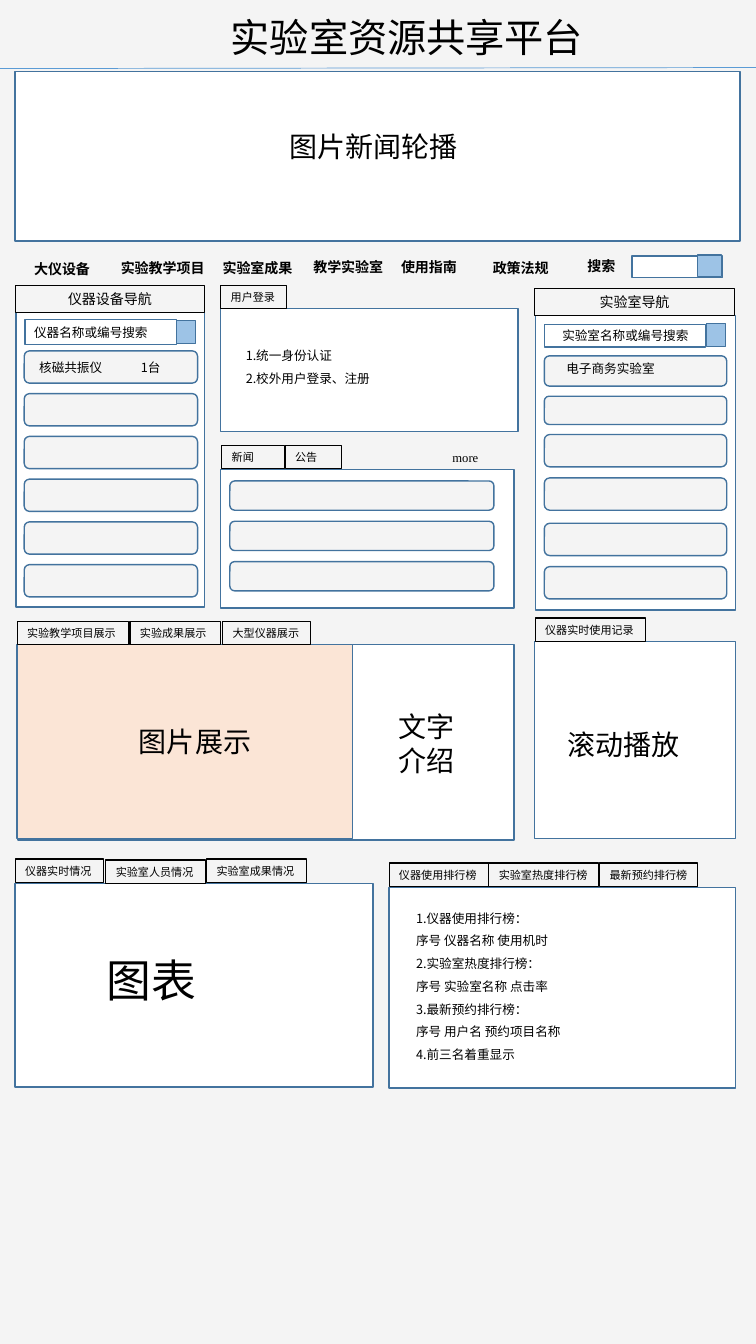
from lxml import etree
from pptx import Presentation
from pptx import util as u
from pptx.dml.color import RGBColor
from pptx.enum import shapes, text
from pptx.oxml import ns

PALE = RGBColor(0xF4, 0xF4, 0xF4)
WHITE = RGBColor(0xFF, 0xFF, 0xFF)
BLACK = RGBColor(0, 0, 0)
EDGE = RGBColor(0x43, 0x73, 0x9E)
RULE = RGBColor(0x5B, 0x9B, 0xD5)
SKY = RGBColor(0x9D, 0xC3, 0xE6)
PEACH = RGBColor(0xFB, 0xE5, 0xD6)
HAN = "Noto Sans CJK SC"
RECT = shapes.MSO_SHAPE.RECTANGLE
ROUND = shapes.MSO_SHAPE.ROUNDED_RECTANGLE
LEFT, MID = text.PP_ALIGN.LEFT, text.PP_ALIGN.CENTER

deck = Presentation()
deck.slide_width, deck.slide_height = u.Inches(7.5), u.Inches(13.33)
COLS, ROWS = 750, 1333
COL, ROW = deck.slide_width / COLS, deck.slide_height / ROWS
slide = deck.slides.add_slide(deck.slide_layouts[5])
slide.background.fill.solid()
slide.background.fill.fore_color.rgb = PALE


def draw(area, fill, kind=RECT, edge=EDGE, width=1):
    x, y, w, h = area
    shape = slide.shapes.add_shape(kind, int(x * COL), int(y * ROW), int(w * COL), int(h * ROW))
    shape.shadow.inherit = False
    shape.fill.solid()
    shape.fill.fore_color.rgb = fill
    shape.line.color.rgb = edge
    shape.line.width = u.Pt(width)
    return shape


def write(shape, words, size, align=LEFT, bold=False, face=HAN, space=1.0, stop=None):
    frame = shape.text_frame
    form = {"word_wrap": True, "auto_size": text.MSO_AUTO_SIZE.NONE,
            "vertical_anchor": text.MSO_ANCHOR.MIDDLE,
            "margin_left": 0 if align == MID else u.Inches(0.1),
            "margin_right": 0, "margin_top": 0, "margin_bottom": 0}
    for key, val in form.items():
        setattr(frame, key, val)
    for i, line in enumerate(words.split("\n")):
        para = frame.add_paragraph() if i else frame.paragraphs[0]
        para.alignment = align
        para.line_spacing = space
        if stop:
            tabs = etree.SubElement(para._p.get_or_add_pPr(), ns.qn("a:tabLst"))
            etree.SubElement(tabs, ns.qn("a:tab"), pos=str(int(stop * COL)), algn="l")
        run = para.add_run()
        run.text = line
        for key, val in {"size": u.Pt(size), "bold": bold, "name": face}.items():
            setattr(run.font, key, val)
        run.font.color.rgb = BLACK
        etree.SubElement(run._r.get_or_add_rPr(), ns.qn("a:ea"), typeface=face)


title = slide.shapes.title
place = {"left": 219 * COL, "top": 8 * ROW, "width": 390 * COL, "height": 57 * ROW}
for key, val in place.items():
    setattr(title, key, int(val))
write(title, "实验室资源共享平台", 28)

rule = slide.shapes.add_connector(shapes.MSO_CONNECTOR.STRAIGHT, 0, int(68 * ROW),
                                  deck.slide_width, int(67 * ROW))
rule.line.color.rgb = RULE
rule.line.width = u.Pt(0.5)
etree.SubElement(rule._element.spPr, ns.qn("a:effectLst"))

panels = [
    (15, 71, 719, 168), (16, 310, 187, 292), (531, 313, 199, 292),
    (219, 306, 295, 122), (219, 466, 291, 137), (18, 639, 492, 194),
    (530, 636, 200, 196), (15, 876, 355, 202), (386, 880, 344, 199),
]
for area in panels:
    draw(area, WHITE)
draw((17, 639, 333, 193), PEACH)

heads = [(15, 283, 188, "仪器设备导航"), (530, 286, 199, "实验室导航")]
for x, y, w, words in heads:
    write(draw((x, y, w, 27), PALE, edge=BLACK, width=0.75), words, 10, MID)

tabs = [
    (219, 283, 65, "用户登录"), (220, 442, 62, "新闻"), (283, 442, 56, "公告"),
    (17, 616, 111, "实验教学项目展示"), (129, 616, 90, "实验成果展示"),
    (221, 616, 87, "大型仪器展示"), (531, 613, 109, "仪器实时使用记录"),
    (15, 852, 88, "仪器实时情况"), (105, 853, 99, "实验室人员情况"),
    (205, 852, 99, "实验室成果情况"), (386, 856, 99, "仪器使用排行榜"),
    (485, 856, 109, "实验室热度排行榜"), (595, 856, 97, "最新预约排行榜"),
]
for x, y, w, words in tabs:
    write(draw((x, y, w, 23), PALE, edge=BLACK, width=0.75), words, 7.9)

for i in range(6):
    draw((24, 348 + 42.4 * i, 172, 32), PALE, ROUND)
for i in range(3):
    draw((228, 477 + 40 * i, 262, 29), PALE, ROUND)
for y, h in [(353, 30), (393, 28), (431, 32), (474, 32), (519, 32), (562, 32)]:
    draw((540, y, 181, h), PALE, ROUND)

finds = [
    ((627, 254, 90, 21), (692, 253, 24, 21)),
    ((25, 317, 150, 25), (175, 318, 19, 23)),
    ((540, 322, 160, 22), (701, 321, 19, 23)),
]
for field, key in finds:
    draw(field, WHITE)
    draw(key, SKY)

menu = [(24, 253, "大仪设备"), (110, 252, "实验教学项目"), (211, 252, "实验室成果"),
        (301, 251, "教学实验室"), (388, 251, "使用指南"), (479, 252, "政策法规"),
        (573, 250, "搜索")]
notes = [((x, y, 105, 27), words, 10, {"bold": True}) for x, y, words in menu]
ranks = """1.仪器使用排行榜：
序号 仪器名称 使用机时
2.实验室热度排行榜：
序号 实验室名称 点击率
3.最新预约排行榜：
序号 用户名 预约项目名称
4.前三名着重显示"""
notes += [
    ((277, 123, 194, 44), "图片新闻轮播", 20, {}),
    ((24, 317, 150, 25), "仪器名称或编号搜索", 9, {}),
    ((29, 352, 152, 25), "核磁共振仪\t1台", 9, {"stop": 101}),
    ((548, 320, 150, 25), "实验室名称或编号搜索", 9, {}),
    ((552, 353, 151, 25), "电子商务实验室", 9, {}),
    ((234, 332, 216, 56), "1.统一身份认证\n2.校外用户登录、注册", 9, {"space": 1.5}),
    ((439, 441, 68, 25), "more", 9, {"face": "Times New Roman"}),
    ((128, 713, 155, 44), "图片展示", 20, {}),
    ((386, 699, 80, 77), "文字介绍", 20, {}),
    ((553, 716, 148, 44), "滚动播放", 20, {}),
    ((96, 940, 115, 64), "图表", 32, {}),
    ((403, 890, 216, 169), ranks, 9, {"space": 1.5}),
]
for (x, y, w, h), words, size, form in notes:
    note = slide.shapes.add_textbox(int(x * COL), int(y * ROW), int(w * COL), int(h * ROW))
    write(note, words, size, **form)

deck.save("out.pptx")
